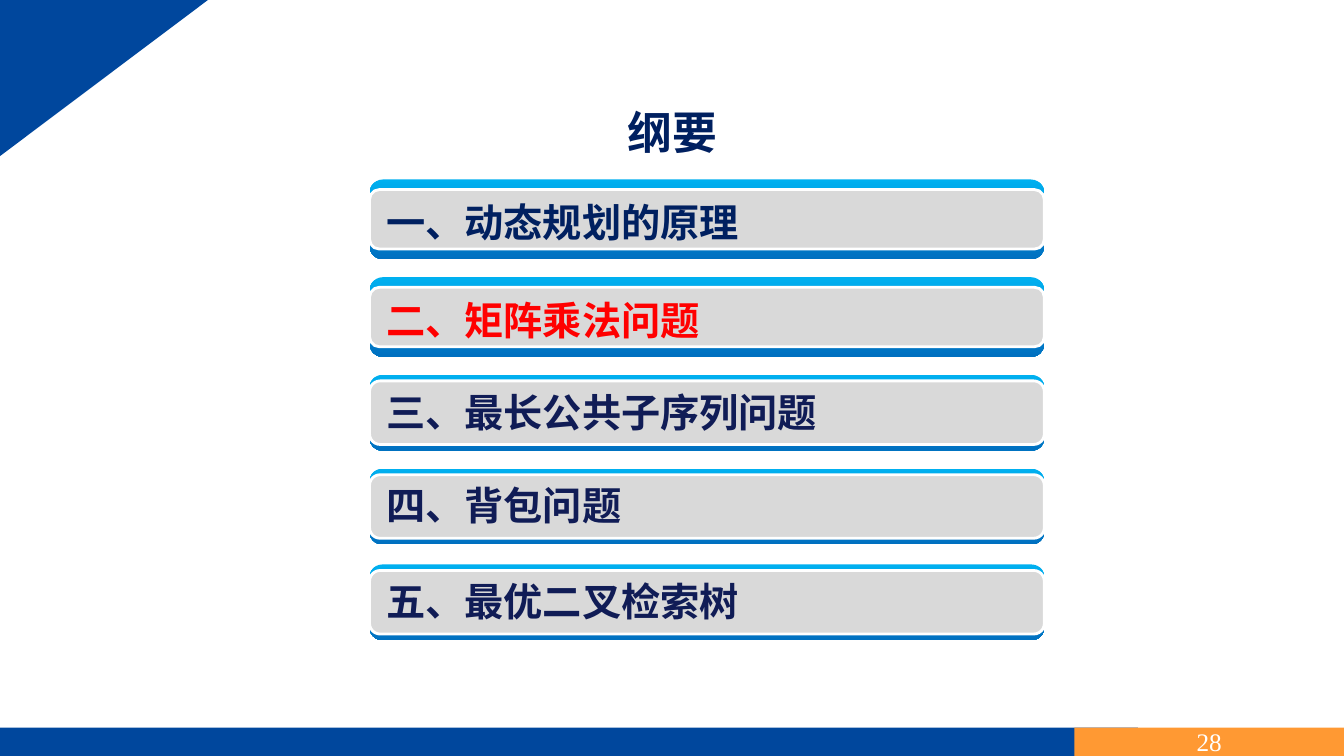
from pptx import Presentation
from pptx.dml.color import RGBColor
from pptx.enum.shapes import MSO_SHAPE
from pptx.enum.text import MSO_ANCHOR, MSO_AUTO_SIZE, PP_ALIGN
from pptx.util import Pt

FONT = "Times New Roman"
BLUE, ORANGE, WHITE = "00479D", "FF9933", "FFFFFF"
NAVY, INK, RED = "002060", "101C56", "FF0000"
GREY, SKY, DEEP = "D9D9D9", "00B0F0", "0070C0"

# Bar metrics: height, panel inset, panel height, text inset, text width
TALL = (56.9, 7.2, 42.5, 10.1, 464.4)
SLIM = (54, 4.3, 45.4, 5.8, 477.4)
BAR_LEFT, BAR_WIDTH = 264, 482

SECTIONS = [
    ("一、动态规划的原理", 128.2, NAVY, TALL),
    ("二、矩阵乘法问题", 198, RED, TALL),
    ("三、最长公共子序列问题", 267.8, INK, SLIM),
    ("四、背包问题", 334.8, INK, SLIM),
    ("五、最优二叉检索树", 403.2, INK, SLIM),
]


def rgb(value):
    return RGBColor.from_string(value)


def write(shape, text, size, color, align=PP_ALIGN.LEFT, bold=True,
          anchor=MSO_ANCHOR.TOP):
    tf = shape.text_frame
    tf.word_wrap = True
    tf.auto_size = MSO_AUTO_SIZE.NONE
    tf.vertical_anchor = anchor
    p = tf.paragraphs[0]
    p.text = text
    p.alignment = align
    p.font.name = FONT
    p.font.size = Pt(size)
    p.font.bold = bold
    p.font.color.rgb = rgb(color)


def add_block(shapes, kind, left, top, width, height, fill, line=None):
    sp = shapes.add_shape(kind, Pt(left), Pt(top), Pt(width), Pt(height))
    sp.shadow.inherit = False
    if isinstance(fill, tuple):
        sp.fill.gradient()
        sp.fill.gradient_angle = 270
        for stop, color in zip(sp.fill.gradient_stops, fill):
            stop.color.rgb = rgb(color)
    else:
        sp.fill.solid()
        sp.fill.fore_color.rgb = rgb(fill)
    if line:
        sp.line.color.rgb = rgb(line)
        sp.line.width = Pt(2)
    else:
        sp.line.fill.background()
    return sp


def add_section(s, text, top, color, metrics):
    height, panel_inset, panel_height, text_inset, text_width = metrics
    shapes = s.shapes.add_group_shape().shapes
    add_block(shapes, MSO_SHAPE.ROUNDED_RECTANGLE, BAR_LEFT, top,
              BAR_WIDTH, height, (SKY, DEEP))
    add_block(shapes, MSO_SHAPE.ROUNDED_RECTANGLE, BAR_LEFT, top + panel_inset,
              BAR_WIDTH, panel_height, GREY, WHITE)
    box = shapes.add_textbox(Pt(BAR_LEFT + 4.9), Pt(top + text_inset),
                             Pt(text_width), Pt(41))
    write(box, text, 28, color)


def add_frame(s, number):
    add_block(s.shapes, MSO_SHAPE.RECTANGLE, 0, 519.8, 812.9, 20.2, BLUE)
    footer = add_block(s.shapes, MSO_SHAPE.RECTANGLE, 767.4, 519.8, 192.6, 20.2, ORANGE)
    write(footer, number, 18, WHITE, PP_ALIGN.CENTER, False, MSO_ANCHOR.MIDDLE)
    corner = add_block(s.shapes, MSO_SHAPE.RIGHT_TRIANGLE, 18.5, -18.5, 111.5, 148.5, BLUE)
    corner.rotation = 90


def add_title(s, text):
    title = s.shapes.title
    title.left, title.top = Pt(322.6), Pt(71.3)
    title.width, title.height = Pt(315.4), Pt(46)
    write(title, text, 32, NAVY, PP_ALIGN.CENTER)


def main():
    prs = Presentation()
    prs.slide_width, prs.slide_height = Pt(960), Pt(540)
    s = prs.slides.add_slide(prs.slide_layouts[5])

    # Corner, footer band and page number
    add_frame(s, "28")

    # Title and outline
    add_title(s, "纲要")
    for section in SECTIONS:
        add_section(s, *section)

    prs.save("out.pptx")


if __name__ == "__main__":
    main()
